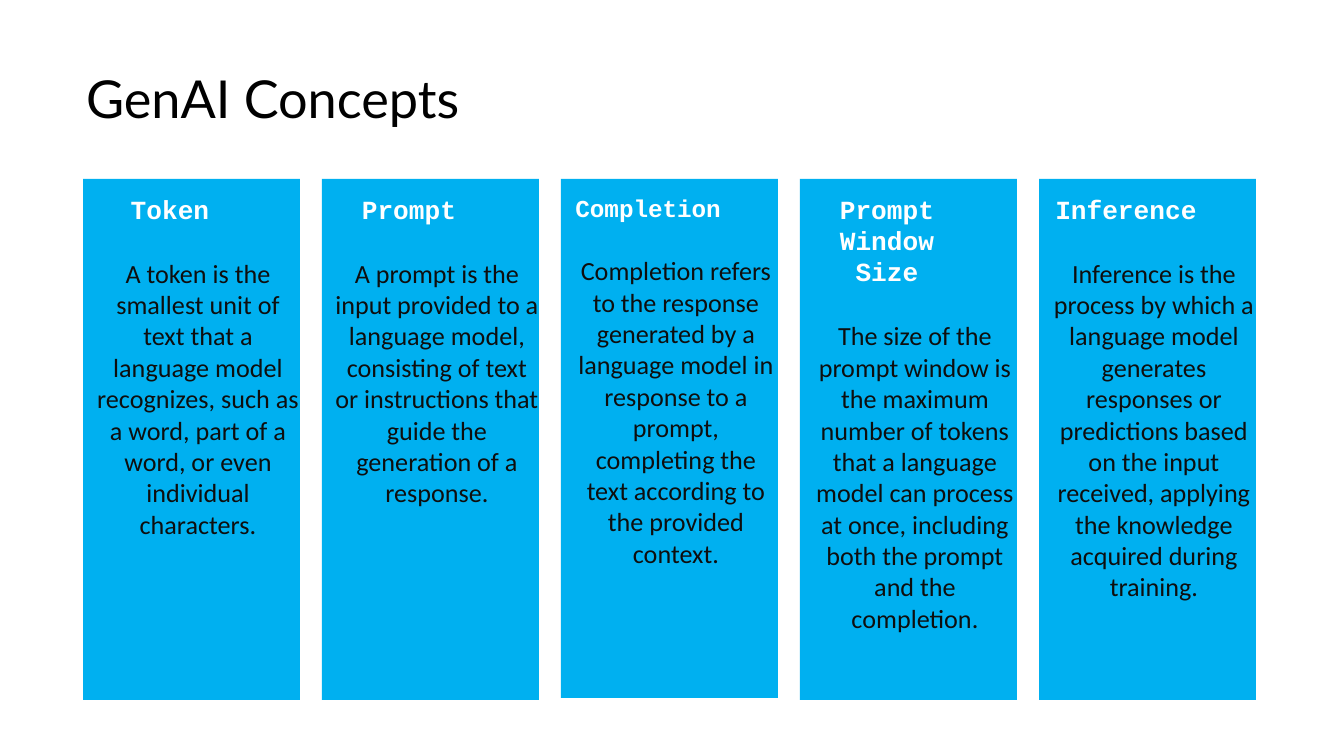
from dataclasses import dataclass

from pptx import Presentation
from pptx.dml.color import RGBColor
from pptx.enum.shapes import MSO_SHAPE
from pptx.enum.text import MSO_ANCHOR, PP_ALIGN
from pptx.util import Emu, Pt


@dataclass(frozen=True)
class Theme:
    """Colours, fonts and type sizes of the slide."""
    card: str = "00B0F0"
    title: str = "000000"
    head: str = "FFFFFF"
    body: str = "0E0E0E"
    title_font: str = "Lato"
    head_font: str = "Courier New"
    body_font: str = "Calibri"
    title_size: int = 28
    size: int = 14
    small: int = 13
    leading: float = 1.2


THEME = Theme()
SCALE = 914400 / 134.4
LEFT, TOP, STEP, WIDTH, HEIGHT = 83, 179, 239, 217, 521
INDENT, RIGHT = 13, 56

CARDS = [
    ("Token", THEME.size, HEIGHT,
     "A token is the smallest unit of text that a language model recognizes, "
     "such as a word, part of a word, or even individual characters."),
    ("Prompt", THEME.size, HEIGHT,
     "A prompt is the input provided to a language model, consisting of text "
     "or instructions that guide the generation of a response."),
    ("Completion", THEME.small, HEIGHT - 2,
     "Completion refers to the response generated by a language model in "
     "response to a prompt, completing the text according to the provided context."),
    ("Prompt Window Size", THEME.size, HEIGHT,
     "The size of the prompt window is the maximum number of tokens that a "
     "language model can process at once, including both the prompt and the completion."),
    ("Inference", THEME.size, HEIGHT,
     "Inference is the process by which a language model generates responses or "
     "predictions based on the input received, applying the knowledge acquired "
     "during training."),
]


def px(count):
    """Turn whole pixels into EMU."""
    return Emu(round(count * SCALE))


def apply(item, values):
    """Set each named value on the item."""
    for name, value in values.items():
        setattr(item, name, value)


def set_frame(frame, top):
    """Make a wrapping frame with a top inset only."""
    apply(frame, {"word_wrap": True, "vertical_anchor": MSO_ANCHOR.TOP,
                  "margin_left": 0, "margin_right": 0,
                  "margin_top": px(top), "margin_bottom": 0})


def write(para, text, font, size, color, bold=False, left=0, right=0, **layout):
    """Fill a paragraph with one styled run."""
    run = para.add_run()
    run.text = text
    apply(run.font, {"name": font, "size": Pt(size), "bold": bold})
    run.font.color.rgb = RGBColor.from_string(color)
    apply(para, layout)
    props = para._p.get_or_add_pPr()
    for key, value in {"marL": left, "marR": right, "indent": 0}.items():
        props.set(key, str(px(value)))


def add_title(slide, text):
    """Add the slide title."""
    frame = slide.shapes.add_textbox(px(63), px(65), px(911), px(66)).text_frame
    set_frame(frame, 1)
    write(frame.paragraphs[0], text, THEME.title_font, THEME.title_size,
          THEME.title, left=23)


def add_card(slide, index, head, size, height, body):
    """Add one concept card with its heading and definition."""
    card = slide.shapes.add_shape(MSO_SHAPE.RECTANGLE, px(LEFT + index * STEP),
                                  px(TOP), px(WIDTH), px(height))
    card.shadow.inherit = False
    card.fill.solid()
    card.fill.fore_color.rgb = RGBColor.from_string(THEME.card)
    card.line.fill.background()
    frame = card.text_frame
    set_frame(frame, 14)
    write(frame.paragraphs[0], head, THEME.head_font, size, THEME.head, bold=True,
          left=INDENT, right=RIGHT, alignment=PP_ALIGN.CENTER,
          line_spacing=Pt(size * THEME.leading))
    write(frame.add_paragraph(), body, THEME.body_font, THEME.size, THEME.body,
          left=INDENT, alignment=PP_ALIGN.CENTER, space_before=Pt(17.5),
          line_spacing=Pt(THEME.size * THEME.leading))


def main():
    """Build and save the slide."""
    deck = Presentation()
    apply(deck, {"slide_width": px(1344), "slide_height": px(756)})
    slide = deck.slides.add_slide(deck.slide_layouts[6])
    add_title(slide, "GenAI Concepts")
    for index, card in enumerate(CARDS):
        add_card(slide, index, *card)
    deck.save("out.pptx")


if __name__ == "__main__":
    main()
